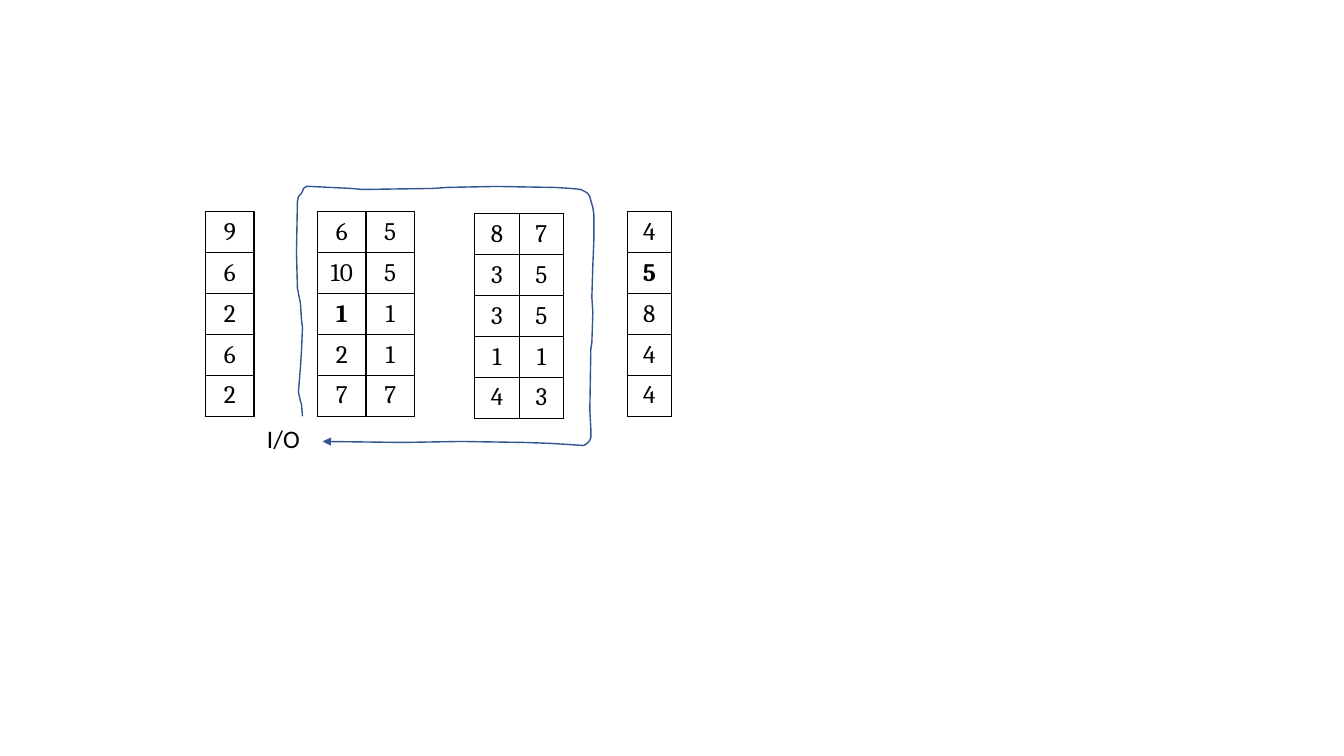
from lxml import etree
from pptx import Presentation
from pptx.dml.color import RGBColor
from pptx.enum.text import MSO_ANCHOR, PP_ALIGN
from pptx.oxml import parse_xml
from pptx.oxml.ns import qn
from pptx.util import Inches, Pt

CENTER = PP_ALIGN.CENTER
MIDDLE = MSO_ANCHOR.MIDDLE
COLORS = {"ink": "000000", "loop": "325491"}
NS = "http://schemas.openxmlformats.org/drawingml/2006/main"
HIGH = 2.03


class Board:
    """Holds the slide and its style, and adds each kind of element."""

    def __init__(self, slide, size=18):
        self.slide = slide
        self.size = Pt(size)

    def style(self, para, font, bold=False):
        for run in para.runs:
            run.font.name = font
            run.font.size = self.size
            run.font.bold = bold
            run.font.color.rgb = RGBColor.from_string(COLORS["ink"])

    def border(self, cell):
        props = cell._tc.get_or_add_tcPr()
        for spot, side in enumerate("LRTB"):
            props.insert(spot, parse_xml(
                f'<a:ln{side} xmlns:a="{NS}" w="{Pt(1)}"><a:solidFill>'
                f'<a:srgbClr val="{COLORS["ink"]}"/></a:solidFill></a:ln{side}>'))

    def table(self, left, top, width, rows, bold=None):
        count = len(rows[0])
        grid = self.slide.shapes.add_table(
            len(rows), count, Inches(left), Inches(top),
            Inches(width * count), Inches(HIGH)).table
        grid.first_row = grid.horz_banding = False
        for r, row in enumerate(rows):
            for c, value in enumerate(row):
                cell = grid.cell(r, c)
                cell.margin_left = cell.margin_right = Inches(0.05)
                cell.vertical_anchor = MIDDLE
                cell.fill.background()
                self.border(cell)
                para = cell.text_frame.paragraphs[0]
                para.text = str(value)
                para.alignment = CENTER
                self.style(para, "Cambria", (r, c) == bold)

    def label(self, left, top, width, height, text):
        frame = self.slide.shapes.add_textbox(
            Inches(left), Inches(top), Inches(width), Inches(height)).text_frame
        frame.word_wrap = False
        frame.text = text
        self.style(frame.paragraphs[0], "Calibri")

    def arrow(self, points):
        spots = [(Inches(x), Inches(y)) for x, y in points]
        pen = self.slide.shapes.build_freeform(*spots[0])
        pen.add_line_segments(spots[1:], close=False)
        shape = pen.convert_to_shape()
        shape.shadow.inherit = False
        shape.fill.background()
        shape.line.width = Pt(1)
        shape.line.color.rgb = RGBColor.from_string(COLORS["loop"])
        etree.SubElement(shape.line._get_or_add_ln(), qn("a:tailEnd"), type="triangle")


TABLES = [
    (2.04, 2.1, 0.48, [[9], [6], [2], [6], [2]], None),
    (3.15, 2.1, 0.48, [[6, 5], [10, 5], [1, 1], [2, 1], [7, 7]], (2, 0)),
    (4.71, 2.12, 0.44, [[8, 7], [3, 5], [3, 5], [1, 1], [4, 3]], None),
    (6.22, 2.1, 0.44, [[4], [5], [8], [4], [4]], (1, 0)),
]
LOOP = [
    (3, 4.13), (2.99, 4.01), (2.98, 3.98), (2.96, 3.89), (2.98, 3.64),
    (2.99, 3.48), (3, 3.25), (2.99, 3.17), (2.98, 3.01), (2.95, 2.86),
    (2.94, 2.5), (2.95, 2), (2.96, 1.95), (2.98, 1.93), (3, 1.9),
    (3.01, 1.87), (3.04, 1.85), (3.08, 1.85), (3.28, 1.86), (3.48, 1.87),
    (3.6, 1.88), (4.3, 1.87), (4.43, 1.86), (4.92, 1.85), (5.5, 1.86),
    (5.66, 1.87), (5.76, 1.88), (5.8, 1.9), (5.83, 1.92), (5.85, 1.95),
    (5.86, 1.99), (5.88, 2.06), (5.89, 2.13), (5.89, 2.38), (5.88, 2.63),
    (5.87, 2.95), (5.88, 3.1), (5.87, 3.4), (5.86, 3.46), (5.85, 4.07),
    (5.86, 4.25), (5.86, 4.34), (5.85, 4.37), (5.82, 4.4), (5.79, 4.42),
    (5.48, 4.4), (5.2, 4.39), (4.57, 4.38), (3.99, 4.39), (3.2, 4.38),
]

deck = Presentation()
deck.slide_width, deck.slide_height = Inches(13.33), Inches(7.5)
board = Board(deck.slides.add_slide(deck.slide_layouts[6]))
for item in TABLES:
    board.table(*item)
board.label(2.55, 4.15, 0.53, 0.4, "I/O")
board.arrow(LOOP)
deck.save("out.pptx")
